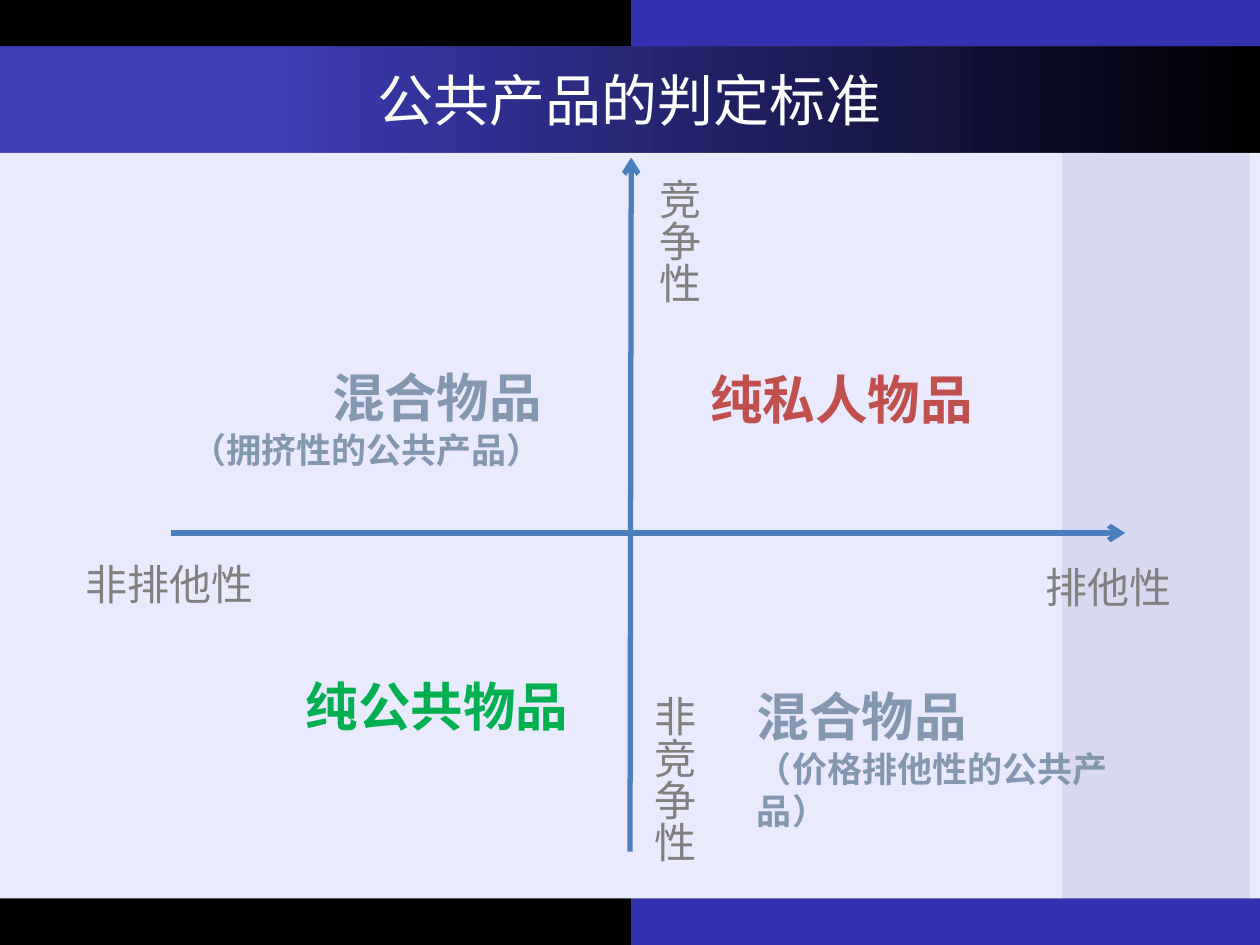
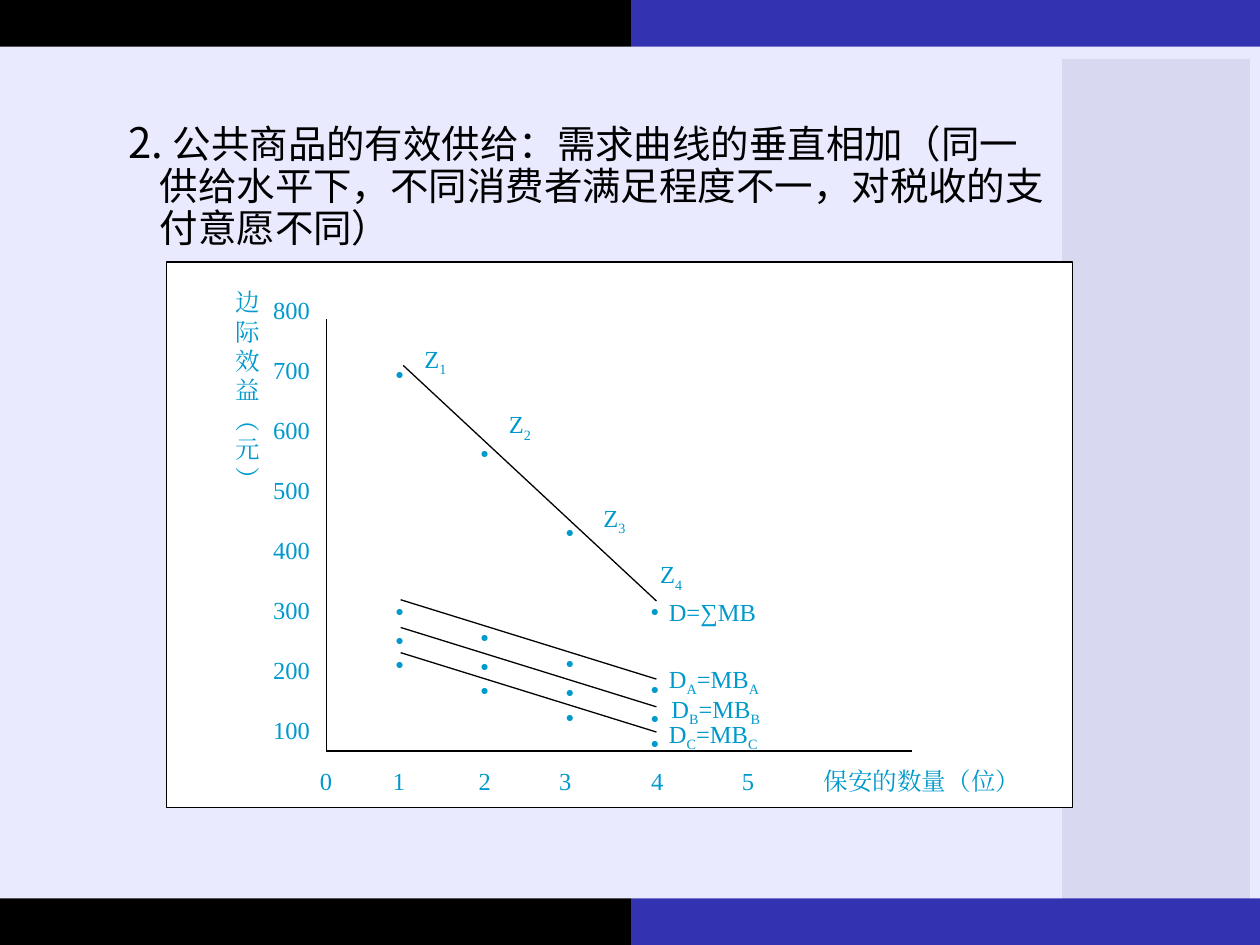
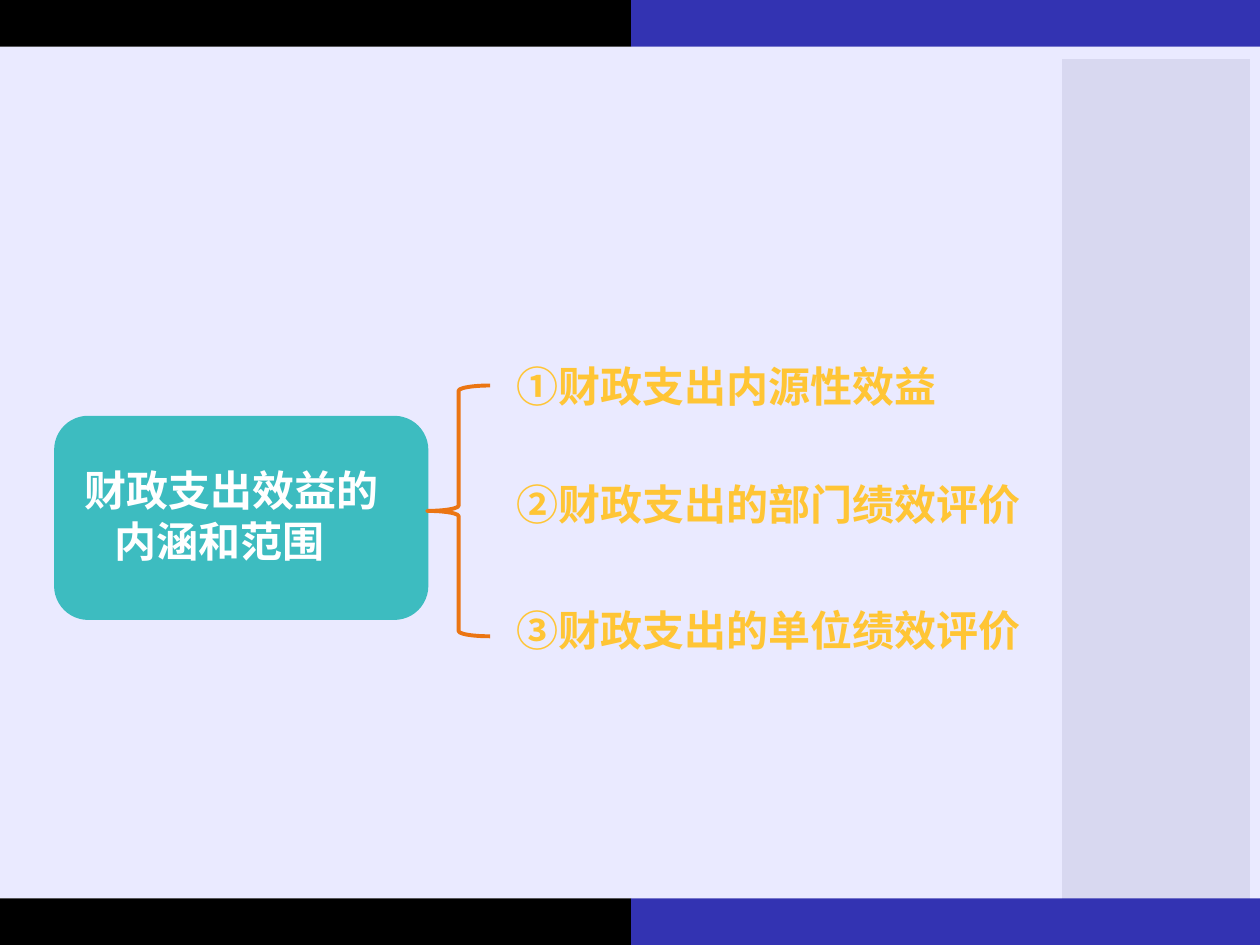
from dataclasses import dataclass
from lxml.etree import SubElement
from pptx import Presentation
from pptx.dml.color import RGBColor
from pptx.enum.shapes import MSO_CONNECTOR, MSO_SHAPE
from pptx.enum.text import MSO_ANCHOR, MSO_AUTO_SIZE, PP_ALIGN
from pptx.oxml.ns import qn
from pptx.util import Inches, Pt


@dataclass(frozen=True)
class Theme:
    black: str = "000000"
    white: str = "FFFFFF"
    blue: str = "3333B2"
    paper: str = "EAEAFF"
    panel: str = "D8D8F0"
    axis: str = "4B7EBC"
    grey: str = "808080"
    red: str = "C0504D"
    green: str = "00B050"
    slate: str = "8497B0"
    cyan: str = "0099CC"
    teal: str = "3DBCC0"
    amber: str = "FFC535"
    orange: str = "EB7513"
    sans: str = "Noto Sans CJK SC"
    title_font: str = "Noto Sans CJK JP"
    serif: str = "Times New Roman"
    title: int = 32
    quadrant: int = 30
    label: int = 24
    body: int = 22
    detail: int = 20
    chart: int = 14
    thin: float = 0.75
    medium: float = 2.25
    thick: float = 3


T = Theme()
COLUMNS, ROWS = 100, 75
CELL = Inches(0.1)
EDGE, SPLIT = 3.7, 50.1

FRAME = [
    ((0, EDGE, COLUMNS, ROWS - 2 * EDGE), T.paper),
    ((0, 0, SPLIT, EDGE), T.black),
    ((SPLIT, 0, COLUMNS - SPLIT, EDGE), T.blue),
    ((84.3, 4.7, 14.9, 67.4), T.panel),
    ((0, ROWS - EDGE, SPLIT, EDGE), T.black),
    ((SPLIT, ROWS - EDGE, COLUMNS - SPLIT, EDGE), T.blue),
]

TITLE = "公共产品的判定标准"
AXES = [((13.6, 42.3), (89.3, 42.3)), ((50, 67.6), (50.1, 12.5))]
AXIS_ENDS = [
    ("排他性", (82, 44.1, 12.2, 5), None),
    ("非排他性", (5.8, 43.8, 16.9, 5), None),
    ("非竞争性", (50, 54.2, 6, 15.9), "eaVert"),
    ("竞争性", (50.4, 13.2, 6, 14.4), "eaVert"),
]
QUADRANTS = [
    (["纯私人物品"], (55.4, 28.6, 26.7, 6.1), T.red, PP_ALIGN.LEFT),
    (["纯公共物品"], (23.3, 53, 27.1, 6.1), T.green, PP_ALIGN.LEFT),
    (["混合物品", "（拥挤性的公共产品）"], (13.6, 28.5, 30.4, 9.4), T.slate, PP_ALIGN.RIGHT),
    (["混合物品", "（价格排他性的公共产品）"], (59.1, 53.8, 34.3, 9.4), T.slate, PP_ALIGN.LEFT),
]

SUPPLY_NUMBER = "2. "
SUPPLY_POINT = "公共商品的有效供给：需求曲线的垂直相加（同一供给水平下，不同消费者满足程度不一，对税收的支付意愿不同）"
BENEFIT_AXIS = "边际效益︵元︶"
BENEFIT_TICKS = [str(value) for value in range(800, 0, -100)]
GUARD_AXIS = ["0", "1", "2", "3", "4", "5", "保安的数量（位）"]
GUARD_TABS = [5.8, 12.6, 19, 26.3, 33.5, 40]
ORIGIN, AXIS_RIGHT, AXIS_TOP = (25.9, 59.6), 72.4, 25.3
DEMAND = [
    (((32, 29), (52.1, 47.7)), (27.2, 6.27), ("D=∑MB",), (52.1, 46.9)),
    (((31.8, 47.6), (52.1, 53.9)), (46, 2.07), ("D", "A", "=MB", "A"), (52.1, 52.2)),
    (((31.8, 49.8), (52.1, 56.1)), (48.3, 2.07), ("D", "B", "=MB", "B"), (52.3, 54.6)),
    (((31.8, 51.8), (52.1, 58.1)), (50.2, 2.1), ("D", "C", "=MB", "C"), (52.1, 56.6)),
]
DOT_LEFT, DOT_STEP, DOT_COUNT, DOT_SIZE = 30.4, 6.75, 4, (2.2, 2.1)
SUM_POINTS = [(32.7, 26.8), (39.4, 32), (46.9, 39.4), (51.4, 43.9)]

TOPIC = [("财政支出效益的", 0), ("内涵和范围", 2.4)]
BRANCHES = [
    ("①财政支出内源性效益", 28.1),
    ("②财政支出的部门绩效评价", 37.5),
    ("③财政支出的单位绩效评价", 47.5),
]


def cells(*lengths):
    return [round(length * CELL) for length in lengths]


def rgb(value):
    return RGBColor.from_string(value)


def add_block(shapes, box, fill=None, line=None, width=T.thin, kind=MSO_SHAPE.RECTANGLE):
    block = shapes.add_shape(kind, *cells(*box))
    block.shadow.inherit = False
    if fill:
        block.fill.solid()
        block.fill.fore_color.rgb = rgb(fill)
    else:
        block.fill.background()
    if line:
        block.line.color.rgb = rgb(line)
        block.line.width = Pt(width)
    else:
        block.line.fill.background()
    return block


def add_line(shapes, start, end, color=T.black, width=T.thin, arrow=False):
    line = shapes.add_connector(MSO_CONNECTOR.STRAIGHT, *cells(*start, *end))
    line.line.color.rgb = rgb(color)
    line.line.width = Pt(width)
    if arrow:
        SubElement(line.line._get_or_add_ln(), qn("a:tailEnd"), type="arrow")
    SubElement(line._element.spPr, qn("a:effectLst"))


def add_run(paragraph, text, size, color, font=T.sans, bold=False, subscript=False):
    run = paragraph.add_run()
    run.text = text
    run.font.size = Pt(size)
    run.font.bold = bold
    run.font.color.rgb = rgb(color)
    run.font.name = font
    properties = run._r.get_or_add_rPr()
    SubElement(properties, qn("a:ea"), typeface=font)
    if subscript:
        properties.set("baseline", "-25000")


def add_frame(shapes, box, grow=True, direction=None):
    frame = shapes.add_textbox(*cells(*box)).text_frame
    frame.word_wrap = True
    frame.auto_size = MSO_AUTO_SIZE.SHAPE_TO_FIT_TEXT if grow else MSO_AUTO_SIZE.NONE
    if direction:
        frame._txBody.bodyPr.set("vert", direction)
    return frame


def add_paragraphs(frame, count, align=PP_ALIGN.LEFT):
    while len(frame.paragraphs) < count:
        frame.add_paragraph()
    for paragraph in frame.paragraphs:
        paragraph.alignment = align
    return frame.paragraphs


def indent(paragraph, left, first=0):
    properties = paragraph._p.get_or_add_pPr()
    for name, length in zip(("marL", "indent"), cells(left, first)):
        properties.set(name, str(length))


def add_chart_text(shapes, box, parts):
    paragraph = add_paragraphs(add_frame(shapes, box), 1, PP_ALIGN.JUSTIFY)[0]
    for position, part in enumerate(parts):
        if part:
            add_run(paragraph, part, T.chart, T.cyan, T.serif, subscript=position % 2 == 1)
    return paragraph


def add_title(shapes, text):
    band = add_block(shapes, (0, EDGE, COLUMNS, 8.4), T.blue)
    band.fill.gradient()
    band.fill.gradient_angle = 0
    for stop, position, color in zip(band.fill.gradient_stops, (0.22, 1), (T.blue, T.black)):
        stop.position = position
        stop.color.rgb = rgb(color)
    first_color = next(band._element.spPr.iter(qn("a:srgbClr")))
    SubElement(first_color, qn("a:alpha"), val="94000")
    band.text_frame.vertical_anchor = MSO_ANCHOR.MIDDLE
    paragraph = add_paragraphs(band.text_frame, 1, PP_ALIGN.CENTER)[0]
    add_run(paragraph, text, T.title, T.white, T.title_font)


def add_slide(deck):
    shapes = deck.slides.add_slide(deck.slide_layouts[6]).shapes
    frame = shapes.add_group_shape().shapes
    for box, fill in FRAME:
        add_block(frame, box, fill)
    return shapes


def build_criteria(shapes):
    add_title(shapes, TITLE)
    for start, end in AXES:
        add_line(shapes, start, end, T.axis, T.thick, arrow=True)
    for text, box, direction in AXIS_ENDS:
        frame = add_frame(shapes, box, direction=direction)
        add_run(frame.paragraphs[0], text, T.label, T.grey)
    for texts, box, color, align in QUADRANTS:
        paragraphs = add_paragraphs(add_frame(shapes, box), len(texts), align)
        for paragraph, text, size in zip(paragraphs, texts, (T.quadrant, T.detail)):
            add_run(paragraph, text, size, color, bold=True)


def build_supply(shapes):
    point = add_frame(shapes, (9.2, 9.2, 75.2, 47.6), grow=False).paragraphs[0]
    point.line_spacing = 0.9
    point.space_before = Pt(10)
    indent(point, 2.5, -2.5)
    add_run(point, SUPPLY_NUMBER, T.label, T.black)
    add_run(point, SUPPLY_POINT, T.body, T.black)

    plot = shapes.add_group_shape().shapes
    add_block(plot, (13.2, 20.8, 71.9, 43.3), T.white, T.black)
    add_line(plot, ORIGIN, (AXIS_RIGHT, ORIGIN[1]))
    add_line(plot, ORIGIN, (ORIGIN[0], AXIS_TOP))
    add_chart_text(plot, (17.7, 22.3, 3.7, 14.8), [BENEFIT_AXIS])

    guards = add_chart_text(plot, (24.4, 60.3, 62.4, 3.4), ["\t".join(GUARD_AXIS)])
    stops = SubElement(guards._p.get_or_add_pPr(), qn("a:tabLst"))
    for position in cells(*GUARD_TABS):
        SubElement(stops, qn("a:tab"), pos=str(position), algn="l")

    frame = add_frame(plot, (20.7, 22.9, 6, 30.7))
    ticks = add_paragraphs(frame, len(BENEFIT_TICKS), PP_ALIGN.JUSTIFY)
    for paragraph, tick in zip(ticks, BENEFIT_TICKS):
        paragraph.space_after = Pt(17.5)
        add_run(paragraph, tick, T.chart, T.cyan, T.serif)

    for (start, end), (dot_top, dot_drop), name, corner in DEMAND:
        add_line(plot, start, end)
        add_chart_text(plot, (*corner, 12, 3), name)
        for step in range(DOT_COUNT):
            dot = (DOT_LEFT + step * DOT_STEP, dot_top + step * dot_drop)
            add_chart_text(plot, (*dot, *DOT_SIZE), ("", "●"))
    for number, corner in enumerate(SUM_POINTS, 1):
        add_chart_text(plot, (*corner, 4.5, 2.9), ("Z", str(number)))


def build_benefit(shapes):
    topic = shapes.add_group_shape().shapes
    add_block(topic, (4.3, 33, 29.7, 16.2), T.teal, kind=MSO_SHAPE.ROUNDED_RECTANGLE)
    paragraphs = add_paragraphs(add_frame(topic, (5.7, 36.4, 28.2, 9.1)), len(TOPIC))
    for paragraph, (text, left) in zip(paragraphs, TOPIC):
        indent(paragraph, left)
        add_run(paragraph, text, T.label, T.white, bold=True)
    for text, top in BRANCHES:
        frame = add_frame(shapes, (40, top, 60, 5))
        add_run(frame.paragraphs[0], text, T.label, T.amber, bold=True)
    add_block(shapes, (33.9, 30.6, 5, 19.9), line=T.orange, width=T.medium, kind=MSO_SHAPE.LEFT_BRACE)


deck = Presentation()
deck.slide_width, deck.slide_height = cells(COLUMNS, ROWS)
for build in (build_criteria, build_supply, build_benefit):
    build(add_slide(deck))
deck.save("out.pptx")
